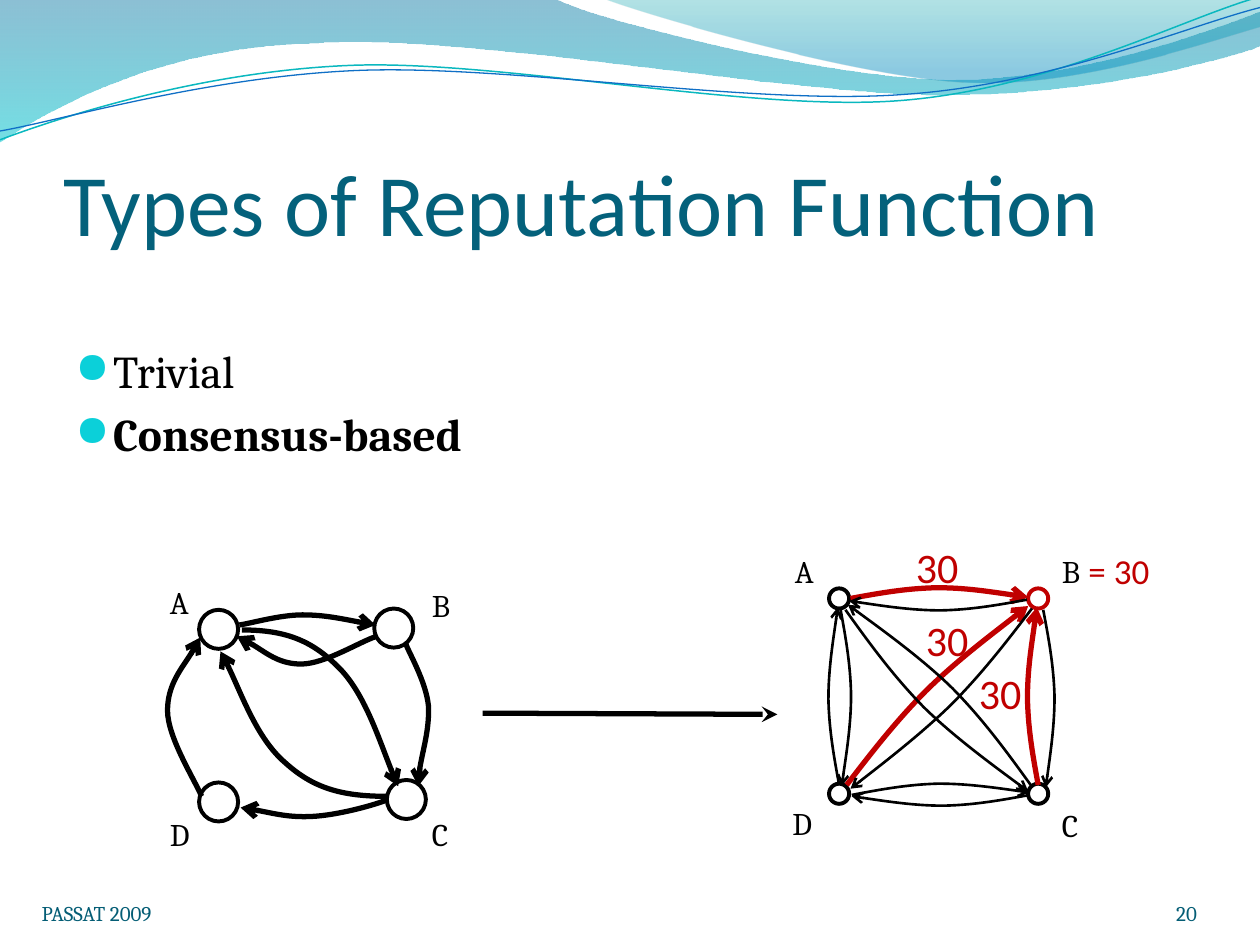
from dataclasses import dataclass
from math import hypot

from lxml.etree import SubElement
from pptx import Presentation
from pptx.dml.color import RGBColor
from pptx.enum.shapes import MSO_CONNECTOR, MSO_SHAPE
from pptx.enum.text import MSO_ANCHOR, MSO_AUTO_SIZE, PP_ALIGN
from pptx.oxml.ns import qn
from pptx.util import Inches, Pt

BLACK = RGBColor(0x00, 0x00, 0x00)
RED = RGBColor(0xC0, 0x00, 0x00)
TITLE_TEAL = RGBColor(0x04, 0x61, 0x7B)
FOOTER_TEAL = RGBColor(0x04, 0x5D, 0x75)
BULLET_CYAN = RGBColor(0x0B, 0xD0, 0xD9)
WAVE_TEAL = RGBColor(0x0A, 0xB8, 0xBF)
WAVE_BLUE = RGBColor(0x0F, 0x6F, 0xC6)

COLUMNS, ROWS = 10, 7.5
SLIDE_WIDTH, SLIDE_HEIGHT = Inches(10), Inches(7.5)

Point = tuple[float, float]


@dataclass(frozen=True)
class GradientStop:
    color: RGBColor
    opacity: int
    position: float


@dataclass(frozen=True)
class Band:
    segments: list[list[Point]]
    stops: list[GradientStop]


@dataclass(frozen=True)
class Arc:
    start: Point
    end: Point
    sag: float = 0.08
    color: RGBColor = BLACK
    width: float = 1.5


@dataclass(frozen=True)
class Label:
    text: str
    column: float
    row: float
    width: float = 0.37
    height: float = 0.4
    size: float = 18
    font: str = "Cambria"
    color: RGBColor = BLACK


BANDS = [
    Band([[(0, 0)], [(4.4, -0.01)], [(4.76, 0.17), (6.64, 0.63), (7.58, 0.63)],
          [(8.53, 0.63), (9.58, 0.26), (10, 0.09)], [(10.01, 0.36)],
          [(9.83, 0.44), (8.7, 0.76), (7.46, 0.75)], [(6.22, 0.75), (3.82, 0.28), (2.57, 0.34)],
          [(1.29, 0.36), (0.46, 0.83), (-0.01, 1.13)]],
         [GradientStop(RGBColor(0x00, 0x74, 0xA1), 45, 0),
          GradientStop(RGBColor(0x00, 0xC6, 0xCF), 55, 1)]),
    Band([[(4.79, -0.01)], [(5.09, 0.11), (6.82, 0.62), (7.69, 0.65)],
          [(8.56, 0.69), (9.61, 0.32), (10, 0.21)], [(10, 0)]],
         [GradientStop(RGBColor(0x00, 0xA1, 0xA9), 30, 0),
          GradientStop(RGBColor(0x00, 0x8B, 0xBF), 45, 0.8)]),
]
WAVE_LINES = [
    ([[(0, 1.11)], [(0.48, 0.93), (1.58, 0.57), (2.77, 0.52)],
      [(3.95, 0.47), (5.93, 0.89), (7.13, 0.8)], [(8.33, 0.71), (9.38, 0.15), (9.98, -0.02)]],
     WAVE_TEAL, 0.85),
    ([[(0, 1.04)], [(0.47, 0.96), (1.64, 0.61), (2.83, 0.56)],
      [(4.03, 0.51), (5.97, 0.84), (7.17, 0.75)], [(8.36, 0.67), (9.41, 0.21), (10, 0.06)]],
     WAVE_BLUE, 0.75),
]
TRUST_NODES = [(1.58, 4.84), (2.97, 4.83), (3.07, 6.19), (1.58, 6.21)]
TRUST_ARROWS = [
    [[(1.9, 4.96)], [(1.98, 4.95), (2.22, 4.88), (2.4, 4.88)], [(2.58, 4.88), (2.86, 4.94), (2.98, 4.96)]],
    [[(2.99, 5.05)], [(2.86, 5.09), (2.58, 5.27), (2.39, 5.27)], [(2.21, 5.27), (1.97, 5.08), (1.88, 5.05)]],
    [[(3.07, 6.35)], [(2.94, 6.4), (2.67, 6.47), (2.48, 6.48)], [(2.29, 6.49), (2.01, 6.42), (1.91, 6.41)]],
    [[(3.07, 6.32)], [(2.7, 6.32), (2.48, 6.25), (2.26, 6.05)], [(2.04, 5.86), (1.86, 5.36), (1.75, 5.17)]],
    [[(1.92, 5)], [(2.26, 5), (2.47, 5.08), (2.68, 5.29)], [(2.89, 5.49), (3.06, 6.02), (3.16, 6.24)]],
    [[(1.6, 6.32)], [(1.54, 6.18), (1.33, 5.85), (1.33, 5.64)], [(1.33, 5.43), (1.55, 5.16), (1.59, 5.06)]],
    [[(3.22, 5.11)], [(3.25, 5.19), (3.38, 5.41), (3.4, 5.6)], [(3.41, 5.79), (3.31, 6.11), (3.32, 6.24)]],
]
REPUTATION_NODES = [(6.58, 4.67, BLACK), (8.16, 4.67, RED), (8.16, 6.22, BLACK), (6.58, 6.22, BLACK)]
REPUTATION_ARCS = [
    Arc((6.75, 4.75), (8.16, 4.74), color=RED, width=3),
    Arc((8.15, 4.76), (6.74, 4.77)),
    Arc((6.76, 6.31), (8.17, 6.29)),
    Arc((8.17, 6.31), (6.76, 6.32)),
    Arc((8.24, 6.23), (8.23, 4.82), color=RED, width=3),
    Arc((8.28, 4.84), (8.3, 6.25)),
    Arc((6.66, 6.23), (6.65, 4.82)),
    Arc((6.67, 4.83), (6.68, 6.24)),
    Arc((6.72, 6.23), (8.16, 4.81), sag=0.09, color=RED, width=3),
    Arc((8.19, 4.83), (6.75, 6.26), sag=0.09),
    Arc((8.18, 6.23), (6.73, 4.8), sag=-0.11),
    Arc((6.71, 4.84), (8.16, 6.28), sag=-0.11),
]
LABELS = [
    Label("A", 1.25, 4.58), Label("B", 3.33, 4.6), Label("C", 3.33, 6.42), Label("D", 1.25, 6.42),
    Label("A", 6.21, 4.33), Label("B", 8.33, 4.33), Label("C", 8.33, 6.35), Label("D", 6.19, 6.33),
    *(Label("30", column, row, 0.54, 0.5, 24, "Calibri", RED)
      for column, row in [(7.17, 4.25), (7.25, 4.83), (7.67, 5.25)]),
    Label("= 30", 8.54, 4.31, 0.69, 0.44, 20, "Calibri", RED),
]


def across(columns: float) -> int:
    return round(SLIDE_WIDTH * columns / COLUMNS)


def down(rows: float) -> int:
    return round(SLIDE_HEIGHT * rows / ROWS)


def box(column: float, row: float, width: float, height: float) -> tuple[int, int, int, int]:
    return across(column), down(row), across(width), down(height)


def write_text(shape, text: str, *, size: float, font: str, color: RGBColor, bold=False, wrap=True,
               margins=(0.1, 0.05, 0.1, 0.05), anchor=MSO_ANCHOR.TOP, align=PP_ALIGN.LEFT):
    frame = shape.text_frame
    frame.auto_size, frame.word_wrap, frame.vertical_anchor = MSO_AUTO_SIZE.NONE, wrap, anchor
    frame.margin_left, frame.margin_top, frame.margin_right, frame.margin_bottom = map(Inches, margins)
    paragraph = frame.add_paragraph() if frame.text else frame.paragraphs[0]
    paragraph.alignment = align
    run = paragraph.add_run()
    run.text = text
    run.font.size, run.font.name, run.font.bold = Pt(size), font, bold
    run.font.color.rgb = color
    return paragraph


def add_bullet(paragraph) -> None:
    paragraph.space_after = Pt(5)
    properties = paragraph._p.get_or_add_pPr()
    properties.set("marL", str(Inches(0.3)))
    properties.set("indent", str(-Inches(0.3)))
    color = SubElement(properties, qn("a:buClr"))
    SubElement(color, qn("a:srgbClr"), val=str(BULLET_CYAN))
    SubElement(properties, qn("a:buSzPct"), val="95000")
    SubElement(properties, qn("a:buChar"), char="●")


def set_line(shape, color: RGBColor, width: float, arrowhead: str = "") -> None:
    shape.line.color.rgb, shape.line.width = color, Pt(width)
    if arrowhead:
        SubElement(shape.element.spPr.find(qn("a:ln")), qn("a:tailEnd"), type=arrowhead)


def add_outline(slide, segments: list[list[Point]], close: bool = False):
    points = [(across(x), down(y)) for segment in segments for x, y in segment]
    builder = slide.shapes.build_freeform(*points[0])
    builder.add_line_segments(points[1:], close=close)
    shape = builder.convert_to_shape()
    shape.shadow.inherit = False
    shape.fill.background()
    lines = iter(list(shape.element.iter(qn("a:lnTo"))))
    for segment in segments[1:]:
        line = next(lines)
        if len(segment) == 3:
            line.addprevious(curve := line.makeelement(qn("a:cubicBezTo")))
            for part in (line, next(lines), next(lines)):
                curve.append(part[0])
                part.getparent().remove(part)
    return shape


def add_band(slide, band: Band) -> None:
    shape = add_outline(slide, band.segments, close=True)
    shape.line.fill.background()
    shape.fill.gradient()
    shape.fill.gradient_angle = 270
    for target, stop in zip(shape.fill.gradient_stops, band.stops):
        target.color.rgb, target.position = stop.color, stop.position
    for element, stop in zip(shape.element.iter(qn("a:srgbClr")), band.stops):
        SubElement(element, qn("a:alpha"), val=str(stop.opacity * 1000))


def add_arc(slide, arc: Arc) -> None:
    (x, y), (end_x, end_y) = arc.start, arc.end
    dx, dy = end_x - x, end_y - y
    length = hypot(dx, dy)

    def along(share: float, lift: float) -> Point:
        offset = arc.sag * lift / length
        return x + dx * share + dy * offset, y + dy * share - dx * offset

    segments = [[arc.start], [along(0.16, 0.5), along(0.31, 0.95), along(0.48, 1)],
                [along(0.65, 1), arc.end, arc.end]]
    set_line(add_outline(slide, segments), arc.color, arc.width, "arrow")


def add_node(slide, column: float, row: float, diameter: float, color: RGBColor = BLACK) -> None:
    shape = slide.shapes.add_shape(MSO_SHAPE.OVAL, *box(column, row, diameter, diameter))
    shape.shadow.inherit = False
    shape.fill.background()
    set_line(shape, color, 2.25)


def main() -> None:
    presentation = Presentation()
    presentation.slide_width, presentation.slide_height = SLIDE_WIDTH, SLIDE_HEIGHT
    slide = presentation.slides.add_slide(presentation.slide_layouts[5])
    for band in BANDS:
        add_band(slide, band)
    for segments, color, width in WAVE_LINES:
        set_line(add_outline(slide, segments), color, width)

    title = slide.shapes.title
    title.left, title.top, title.width, title.height = box(0.5, 0.77, 9, 1.25)
    write_text(title, "Types of Reputation Function", size=50, font="Calibri", color=TITLE_TEAL,
               margins=(0, 0.05, 0, 0), anchor=MSO_ANCHOR.BOTTOM)
    body = slide.shapes.add_textbox(*box(0.5, 2.67, 9, 4.25))
    for text, bold in [("Trivial", False), ("Consensus-based", True)]:
        add_bullet(write_text(body, text, size=26, font="Cambria", color=BLACK, bold=bold))
    for text, place, align in [("20", (8.67, 6.95, 0.83, 0.4), PP_ALIGN.RIGHT),
                               ("PASSAT 2009", (0.33, 7.08, 1.08, 0.27), PP_ALIGN.LEFT)]:
        write_text(slide.shapes.add_textbox(*box(*place)), text, size=12, font="Cambria",
                   color=FOOTER_TEAL, margins=(0, 0, 0, 0), anchor=MSO_ANCHOR.BOTTOM, align=align)

    for column, row in TRUST_NODES:
        add_node(slide, column, row, 0.31)
    for segments in TRUST_ARROWS:
        set_line(add_outline(slide, segments), BLACK, 3, "arrow")
    for column, row, color in REPUTATION_NODES:
        add_node(slide, column, row, 0.16, color)
    for arc in REPUTATION_ARCS:
        add_arc(slide, arc)
    transition = slide.shapes.add_connector(MSO_CONNECTOR.STRAIGHT, across(3.83), down(5.66),
                                            across(6.17), down(5.67))
    set_line(transition, BLACK, 3, "stealth")
    SubElement(transition.element.spPr, qn("a:effectLst"))
    for label in LABELS:
        shape = slide.shapes.add_textbox(*box(label.column, label.row, label.width, label.height))
        write_text(shape, label.text, size=label.size, font=label.font, color=label.color, wrap=False)
    presentation.save("out.pptx")


if __name__ == "__main__":
    main()
